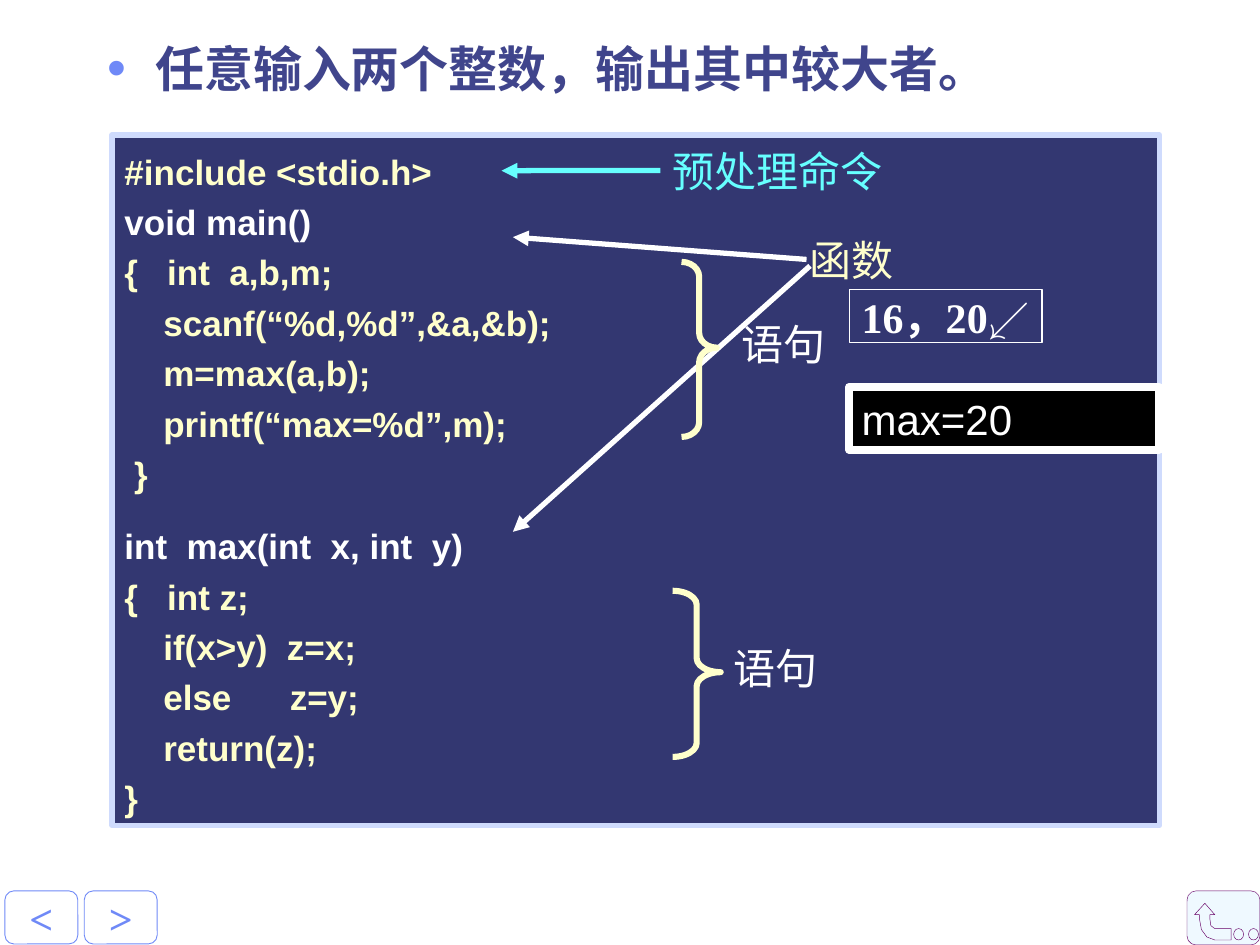
from dataclasses import dataclass

from pptx import Presentation
from pptx.dml.color import RGBColor
from pptx.enum.shapes import MSO_CONNECTOR, MSO_SHAPE as Preset
from pptx.enum.text import MSO_ANCHOR as Anchor, MSO_AUTO_SIZE, PP_ALIGN as Align
from pptx.oxml.ns import qn
from pptx.util import Cm, Pt
from lxml.etree import SubElement


@dataclass(frozen=True)
class Theme:
    panel: str = "333771"
    frame: str = "CFDBFD"
    cream: str = "FFFFCC"
    white: str = "FFFFFF"
    black: str = "000000"
    cyan: str = "66FFFF"
    title: str = "40458C"
    accent: str = "6F89F7"
    pale: str = "EFF9FF"
    plum: str = "660066"
    sans: str = "Arial"
    serif: str = "Times New Roman"
    cjk: str = "Noto Sans CJK SC"
    title_size: float = 28
    label_size: float = 24
    code_size: float = 20


THEME = Theme()
INSET = (0.25, 0.13)

MAIN_CODE = """#include <stdio.h>
void main()
{   int  a,b,m;
    scanf(“%d,%d”,&a,&b);
    m=max(a,b);
    printf(“max=%d”,m);
 }""".split("\n")
MAX_CODE = """int  max(int  x, int  y)
{   int z;
    if(x>y)  z=x;
    else      z=y;
    return(z);
}""".split("\n")
SIGNATURES = (MAIN_CODE[1], MAX_CODE[0])


def rgb(value):
    return RGBColor.from_string(value)


def write(shape, *lines, size=THEME.label_size, font=THEME.serif, color=THEME.white,
          bold=False, align=Align.LEFT, anchor=Anchor.MIDDLE, wrap=False,
          inset=INSET, spacing=None):
    frame = shape.text_frame
    frame.word_wrap = wrap
    frame.auto_size = MSO_AUTO_SIZE.NONE
    frame.vertical_anchor = anchor
    frame.margin_left = frame.margin_right = Cm(inset[0])
    frame.margin_top = frame.margin_bottom = Cm(inset[1])
    for number, line in enumerate(lines):
        paragraph = frame.add_paragraph() if number else frame.paragraphs[0]
        paragraph.alignment = align
        if spacing:
            paragraph.line_spacing = spacing
        run = paragraph.add_run()
        run.text = line
        run.font.size, run.font.name, run.font.bold = Pt(size), font, bold
        run.font.color.rgb = rgb(color)
        SubElement(run.font._element, qn("a:ea"), typeface=THEME.cjk)
    return frame


def style(shape, line, width, fill=None):
    shape.shadow.inherit = False
    if fill:
        shape.fill.solid()
        shape.fill.fore_color.rgb = rgb(fill)
    else:
        shape.fill.background()
    shape.line.color.rgb = rgb(line)
    shape.line.width = Pt(width)
    return shape


def add_preset(slide, preset, box, line, width, fill=None):
    shape = slide.shapes.add_shape(preset, *map(Cm, box))
    return style(shape, line, width, fill)


def add_label(slide, text, box, color):
    label = slide.shapes.add_textbox(*map(Cm, box))
    write(label, text, color=color, align=Align.CENTER)
    return label


def add_arrow(slide, start, end, color):
    arrow = slide.shapes.add_connector(MSO_CONNECTOR.STRAIGHT, *map(Cm, start + end))
    arrow.line.color.rgb = rgb(color)
    arrow.line.width = Pt(3)
    SubElement(arrow.line._get_or_add_ln(), qn("a:tailEnd"), type="triangle")
    SubElement(arrow._element.spPr, qn("a:effectLst"))
    return arrow


def add_brace(slide, box, curve, tip):
    brace = add_preset(slide, Preset.RIGHT_BRACE, box, THEME.cream, 3.5)
    brace.adjustments[0], brace.adjustments[1] = curve, tip


def add_task(slide, box):
    """Place the bulleted task in the title placeholder."""
    title = slide.shapes.title
    title.left, title.top, title.width, title.height = map(Cm, box)
    frame = write(title, "任意输入两个整数，输出其中较大者。", size=THEME.title_size,
                  font=THEME.cjk, color=THEME.title, bold=True,
                  anchor=Anchor.TOP, wrap=True)
    bullet = frame.paragraphs[0]._p.get_or_add_pPr()
    hang = Cm(0.97)
    bullet.set("marL", str(hang))
    bullet.set("indent", str(-hang))
    SubElement(SubElement(bullet, qn("a:buClr")), qn("a:srgbClr"), val=THEME.accent)
    SubElement(bullet, qn("a:buSzPct"), val="110000")
    SubElement(bullet, qn("a:buFont"), typeface=THEME.sans)
    SubElement(bullet, qn("a:buChar"), char="•")


def add_code_panel(slide, box):
    left, top = box[:2]

    def at(x, y, *size):
        return (left + x, top + y, *size)

    panel = add_preset(slide, Preset.RECTANGLE, box, THEME.frame, 3, THEME.panel)
    code = write(panel, *MAIN_CODE, *MAX_CODE, size=THEME.code_size, font=THEME.sans,
                 color=THEME.cream, bold=True, wrap=True, spacing=1.2)
    for paragraph in code.paragraphs:
        if paragraph.text in SIGNATURES:
            paragraph.runs[0].font.color.rgb = rgb(THEME.white)
    code.paragraphs[len(MAIN_CODE)].space_before = Pt(12.5)

    output = add_preset(slide, Preset.RECTANGLE, at(14.86, 5.08, 6.25, 1.27),
                        THEME.white, 4.5, THEME.black)
    write(output, "max=20", font=THEME.sans, wrap=True)

    add_arrow(slide, at(14, 2.51), at(8.08, 2.06), THEME.white)
    add_arrow(slide, at(14.07, 2.64), at(8.08, 8), THEME.white)
    add_label(slide, "函数", at(13.82, 1.88, 2.18, 1.27), THEME.cream)

    directive = add_label(slide, "预处理命令", at(11.05, 0.08, 4.72, 1.27), THEME.cyan)
    pointer = add_arrow(slide, at(11.05, 0.72), at(7.85, 0.72), THEME.cyan)
    pointer.begin_connect(directive, 1)

    add_brace(slide, at(11.48, 2.56, 0.71, 3.53), 0.42, 0.49)
    add_label(slide, "语句", at(12.45, 3.58, 2.18, 1.27), THEME.white)
    add_brace(slide, at(11.3, 9.19, 0.97, 3.35), 0.29, 0.49)
    add_label(slide, "语句", at(12.29, 10.11, 2.18, 1.27), THEME.white)

    typed = add_preset(slide, Preset.RECTANGLE, at(14.86, 3.12, 3.89, 1.07),
                       THEME.white, 0.75)
    write(typed, "16，20↙", bold=True, align=Align.CENTER, anchor=Anchor.TOP,
          inset=(0.05, 0.03))


def add_page_buttons(slide, box):
    left, top, width, height = box
    gap = 0.13
    button_width = (width - gap) / 2
    for column, sign in enumerate("<>"):
        x = left + column * (button_width + gap)
        button = add_preset(slide, Preset.ROUNDED_RECTANGLE,
                            (x, top, button_width, height), THEME.accent, 0.5)
        write(button, sign, color=THEME.accent, bold=True, align=Align.CENTER)


def add_return_button(slide, box):
    left, top = box[:2]
    add_preset(slide, Preset.ROUNDED_RECTANGLE, box, THEME.plum, 0.25, THEME.pale)
    turn = [(0.36, 0.25), (0.15, 0.48), (0.25, 0.48), (0.25, 0.56), (0.29, 0.78),
            (0.4, 0.93), (0.56, 0.99), (0.89, 0.99), (0.89, 0.76), (0.56, 0.76),
            (0.48, 0.7), (0.46, 0.56), (0.46, 0.48), (0.56, 0.48)]
    corners = [(Cm(left + x), Cm(top + y)) for x, y in turn]
    outline = slide.shapes.build_freeform(*corners[0])
    outline.add_line_segments(corners[1:], close=True)
    style(outline.convert_to_shape(), THEME.plum, 0.25, THEME.pale)
    for x in (0.94, 1.24):
        add_preset(slide, Preset.OVAL, (left + x, top + 0.76, 0.2, 0.23),
                   THEME.plum, 0.25, THEME.pale)


def main():
    deck = Presentation()
    deck.slide_width, deck.slide_height = Cm(25.4), Cm(19.05)
    slide = deck.slides.add_slide(deck.slide_layouts[5])
    add_task(slide, (1.91, 0.64, 23.14, 1.57))
    add_code_panel(slide, (2.26, 2.72, 21.11, 13.92))
    add_page_buttons(slide, (0.1, 17.96, 3.07, 1.07))
    add_return_button(slide, (23.93, 17.96, 1.47, 1.09))
    deck.save("out.pptx")


if __name__ == "__main__":
    main()
